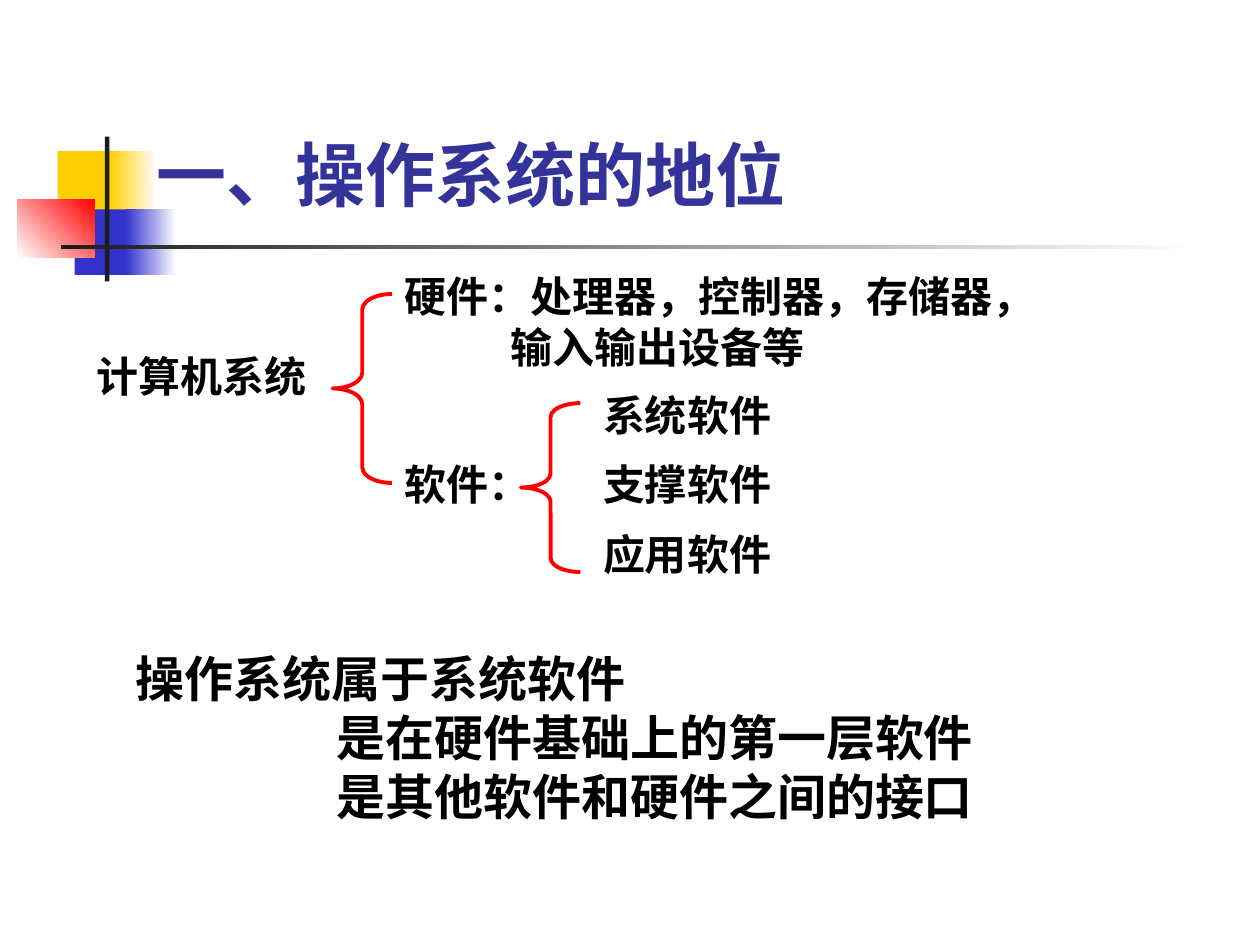
from pptx import Presentation
from pptx import util as u
from pptx.dml.color import RGBColor
from pptx.enum import shapes, text

YELLOW = RGBColor(0xFF, 0xCF, 0x01)
BLUE = RGBColor(0x33, 0x33, 0xCC)
RED = RGBColor(0xFF, 0x00, 0x00)
WHITE = RGBColor(0xFF, 0xFF, 0xFF)
DARK = RGBColor(0x1C, 0x1C, 0x1C)
BLACK = RGBColor(0x00, 0x00, 0x00)
NAVY = RGBColor(0x33, 0x33, 0x99)


def write(frame, lines, size=24, font="Times New Roman", color=BLACK, indent=0):
    """Write one paragraph per line; every line after the first is indented."""
    frame.word_wrap = True
    for index, line in enumerate(lines):
        para = frame.paragraphs[0] if index == 0 else frame.add_paragraph()
        para.alignment = text.PP_ALIGN.LEFT
        if index and indent:
            properties = para._p.get_or_add_pPr()
            properties.set("marL", str(u.Pt(indent)))
            properties.set("indent", "0")
        span = para.add_run()
        span.text = line
        span.font.size = u.Pt(size)
        span.font.name = font
        span.font.bold = True
        span.font.color.rgb = color


class SlideBuilder:
    def __init__(self, page):
        self.page = page

    def title(self, line, left, top, width, height):
        box = self.page.shapes.title
        box.left, box.top, box.width, box.height = map(u.Pt, (left, top, width, height))
        box.text_frame.vertical_anchor = text.MSO_ANCHOR.BOTTOM
        write(box.text_frame, [line], size=40, font="Roboto", color=NAVY)

    def shape(self, kind, left, top, width, height):
        box = self.page.shapes.add_shape(kind, *map(u.Pt, (left, top, width, height)))
        box.shadow.inherit = False
        return box

    def block(self, left, top, width, height, color, fade_to=None, angle=0):
        box = self.shape(shapes.MSO_SHAPE.RECTANGLE, left, top, width, height)
        box.line.fill.background()
        if fade_to is None:
            box.fill.solid()
            box.fill.fore_color.rgb = color
        else:
            box.fill.gradient()
            box.fill.gradient_angle = angle
            for stop, shade in zip(box.fill.gradient_stops, (color, fade_to)):
                stop.color.rgb = shade

    def brace(self, left, top, width, height):
        box = self.shape(shapes.MSO_SHAPE.LEFT_BRACE, left, top, width, height)
        box.adjustments[0] = height / 12 / width
        box.fill.background()
        box.line.color.rgb = RED
        box.line.width = u.Pt(2.25)

    def label(self, lines, left, top, width, height, **style):
        box = self.page.shapes.add_textbox(*map(u.Pt, (left, top, width, height)))
        write(box.text_frame, lines, **style)


def main():
    deck = Presentation()
    deck.slide_width, deck.slide_height = u.Pt(720), u.Pt(540)
    page = deck.slides.add_slide(deck.slide_layouts[5])
    slide = SlideBuilder(page)

    # Corner decoration and rule
    slide.block(33, 86.4, 34.8, 37.4, YELLOW)
    slide.block(63.2, 86.4, 26, 37.4, YELLOW, WHITE)
    slide.block(42.6, 119.7, 33, 37.4, BLUE)
    slide.block(72, 119.7, 28.8, 37.4, BLUE, WHITE)
    slide.block(10, 113.8, 44.2, 33.4, WHITE, RED, angle=45)
    slide.block(60, 78, 2.5, 82.8, DARK)
    slide.block(34.8, 140, 648, 2.5, DARK, WHITE)

    slide.title("一、操作系统的地位", 82, 54.7, 613.5, 72)

    # Computer system: hardware and software
    slide.label(["计算机系统"], 48, 196.5, 221, 36)
    slide.brace(190, 168, 34, 108)
    slide.label(["硬件：处理器，控制器，存储器，", "输入输出设备等"],
                224, 151.2, 481.7, 64.8, indent=60.5)
    slide.label(["软件："], 224, 258.5, 113, 36)

    # Kinds of software
    slide.brace(297.6, 230.4, 34, 96.5)
    for row, kind in enumerate(("系统软件", "支撑软件", "应用软件")):
        slide.label([kind], 337.5, 218.8 + 39.7 * row, 190, 36)

    # Conclusion
    slide.label(["操作系统属于系统软件", "是在硬件基础上的第一层软件", "是其他软件和硬件之间的接口"],
                70.6, 367.2, 607, 108, size=28, indent=114.8)

    deck.save("out.pptx")


if __name__ == "__main__":
    main()
